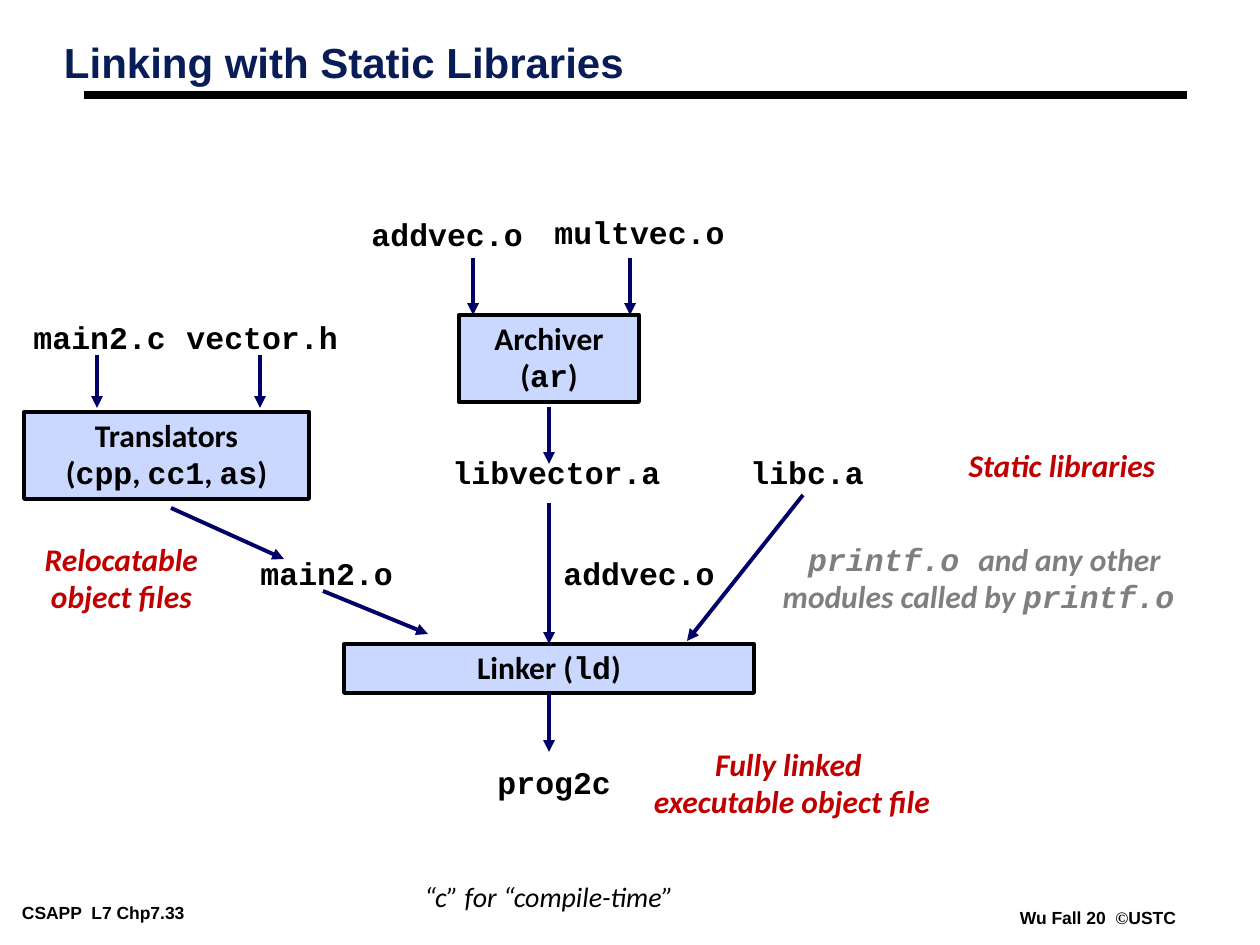
from lxml import etree
from pptx import Presentation
from pptx.dml.color import RGBColor
from pptx.enum import shapes, text
from pptx.oxml.ns import qn
from pptx.util import Pt

PX = 914400 / 126
BLACK = RGBColor(0x00, 0x00, 0x00)
NAVY = RGBColor(0x08, 0x1D, 0x58)
ARROW = RGBColor(0x00, 0x00, 0x66)
BOX_FILL = RGBColor(0xCA, 0xD7, 0xFE)
RED = RGBColor(0xC0, 0x00, 0x00)
GREY = RGBColor(0x7F, 0x7F, 0x7F)
SANS, MONO, HEAD, SERIF = "Calibri", "Courier New", "Arial", "Times New Roman"
WIDE, NARROW = (13, 6), (9, 4)  # horizontal and vertical text insets

# Content: every text is a list of paragraphs, each a list of (words, font)
TITLE = [[("Linking with Static Libraries", HEAD)]]

TOOLS = {
    "translators": ((24, 412, 285, 87), [
        [("Translators", SANS)],
        [("(", SANS), ("cpp", MONO), (", ", SANS), ("cc1", MONO),
         (", ", SANS), ("as", MONO), (")", SANS)]]),
    "archiver": ((459, 315, 180, 87), [
        [("Archiver", SANS)],
        [("(", SANS), ("ar", MONO), (")", SANS)]]),
    "linker": ((344, 644, 410, 49), [
        [("Linker (", SANS), ("ld", MONO), (")", SANS)]]),
}

FILES = [  # name, left, top
    ("addvec.o", 359, 212), ("multvec.o", 542, 210),
    ("main2.c", 21, 315), ("vector.h", 174, 315),
    ("libvector.a", 440, 450), ("libc.a", 738, 450),
    ("main2.o", 248, 551), ("addvec.o", 551, 551),
    ("prog2c", 485, 760),
]

NOTES = [  # place, colour, paragraphs
    ((956, 442, 212, 50), RED, [[("Static libraries", SANS)]]),
    ((32, 536, 179, 87), RED,
     [[("Relocatable", SANS)], [("object files", SANS)]]),
    ((641, 741, 302, 87), RED,
     [[("Fully linked ", SANS)], [("executable object file", SANS)]]),
    ((770, 536, 436, 86), GREY,
     [[("printf.o ", MONO), ("and any other ", SANS)],
      [("modules called by ", SANS), ("printf.o ", MONO)]]),
]

CAPTION = ((411, 874, 276, 47), [[("“c” for “compile-time”", SANS)]])

FOOTERS = [
    ((13, 898, 246, 28), [[("CSAPP  L7 Chp7.33", HEAD)]]),
    ((1011, 903, 174, 28),
     [[("Wu Fall 20  ", HEAD), ("©", SERIF), ("USTC", HEAD)]]),
]

ARROWS = [  # from x, y, to x, y, tool joined at the start, tool joined at the end
    (473, 258, 473, 315, None, None),
    (630, 258, 630, 315, None, None),
    (97, 355, 97, 408, None, None),
    (260, 355, 260, 408, None, None),
    (549, 407, 549, 464, None, None),
    (171, 508, 284, 559, None, None),
    (323, 591, 428, 634, None, None),
    (803, 495, 687, 641, None, None),
    (549, 503, 549, 644, None, "linker"),
    (549, 693, 549, 752, "linker", None),
]


def emu(*lengths):
    return [round(length * PX) for length in lengths]


def write(shape, paragraphs, size, colour, bold=True, italic=False,
          align=text.PP_ALIGN.CENTER, spacing=None, insets=WIDE, wrap=False):
    frame = shape.text_frame
    frame.auto_size = text.MSO_AUTO_SIZE.NONE
    frame.word_wrap = wrap
    frame.vertical_anchor = text.MSO_ANCHOR.TOP
    frame.margin_left = frame.margin_right = emu(insets[0])[0]
    frame.margin_top = frame.margin_bottom = emu(insets[1])[0]
    for i, runs in enumerate(paragraphs):
        paragraph = frame.add_paragraph() if i else frame.paragraphs[0]
        paragraph.alignment = align
        if spacing:
            paragraph.line_spacing = spacing
        for words, font in runs:
            run = paragraph.add_run()
            run.text = words
            run.font.name = font
            run.font.size = Pt(size)
            run.font.bold, run.font.italic = bold, italic
            run.font.color.rgb = colour


def add_text(place, paragraphs, size, colour, **style):
    write(slide.shapes.add_textbox(*emu(*place)), paragraphs, size, colour, **style)


def add_line(ends, colour, width):
    line = slide.shapes.add_connector(shapes.MSO_CONNECTOR.STRAIGHT, *emu(*ends))
    line.line.color.rgb = colour
    line.line.width = Pt(width)
    etree.SubElement(line._element.spPr, qn("a:effectLst"))
    return line


prs = Presentation()
prs.slide_width, prs.slide_height = emu(1260, 945)
slide = prs.slides.add_slide(prs.slide_layouts[5])

# Title and rule
title = slide.shapes.title
title.left, title.top, title.width, title.height = emu(55, 39, 774, 108)
write(title, TITLE, 24, NAVY, align=text.PP_ALIGN.LEFT, spacing=0.87,
      insets=NARROW, wrap=True)
add_line((84, 95, 1187, 95), BLACK, 4.5)

# Tool boxes
tools = {}
for tool, (place, paragraphs) in TOOLS.items():
    box = slide.shapes.add_shape(shapes.MSO_SHAPE.RECTANGLE, *emu(*place))
    box.shadow.inherit = False
    box.fill.solid()
    box.fill.fore_color.rgb = BOX_FILL
    box.line.color.rgb = BLACK
    box.line.width = Pt(2.25)
    write(box, paragraphs, 18, BLACK, spacing=0.98, wrap=True)
    tools[tool] = box

# File names: the fixed-pitch font gives the width
for name, left, top in FILES:
    add_text((left, top, 18.9 * len(name) + 25, 48), [[(name, MONO)]],
             18, BLACK, spacing=0.94)

# Notes, caption and footers
for place, colour, paragraphs in NOTES:
    add_text(place, paragraphs, 18, colour, italic=True, spacing=0.98)
add_text(*CAPTION, 16, BLACK, bold=False, italic=True)
for place, paragraphs in FOOTERS:
    add_text(place, paragraphs, 10, BLACK, align=text.PP_ALIGN.LEFT, insets=NARROW)

# Arrows
for *ends, source, target in ARROWS:
    arrow = add_line(ends, ARROW, 2.25)
    etree.SubElement(arrow.line._get_or_add_ln(), qn("a:tailEnd"), type="triangle")
    if source:
        arrow.begin_connect(tools[source], 2)
    if target:
        arrow.end_connect(tools[target], 0)

prs.save("out.pptx")
